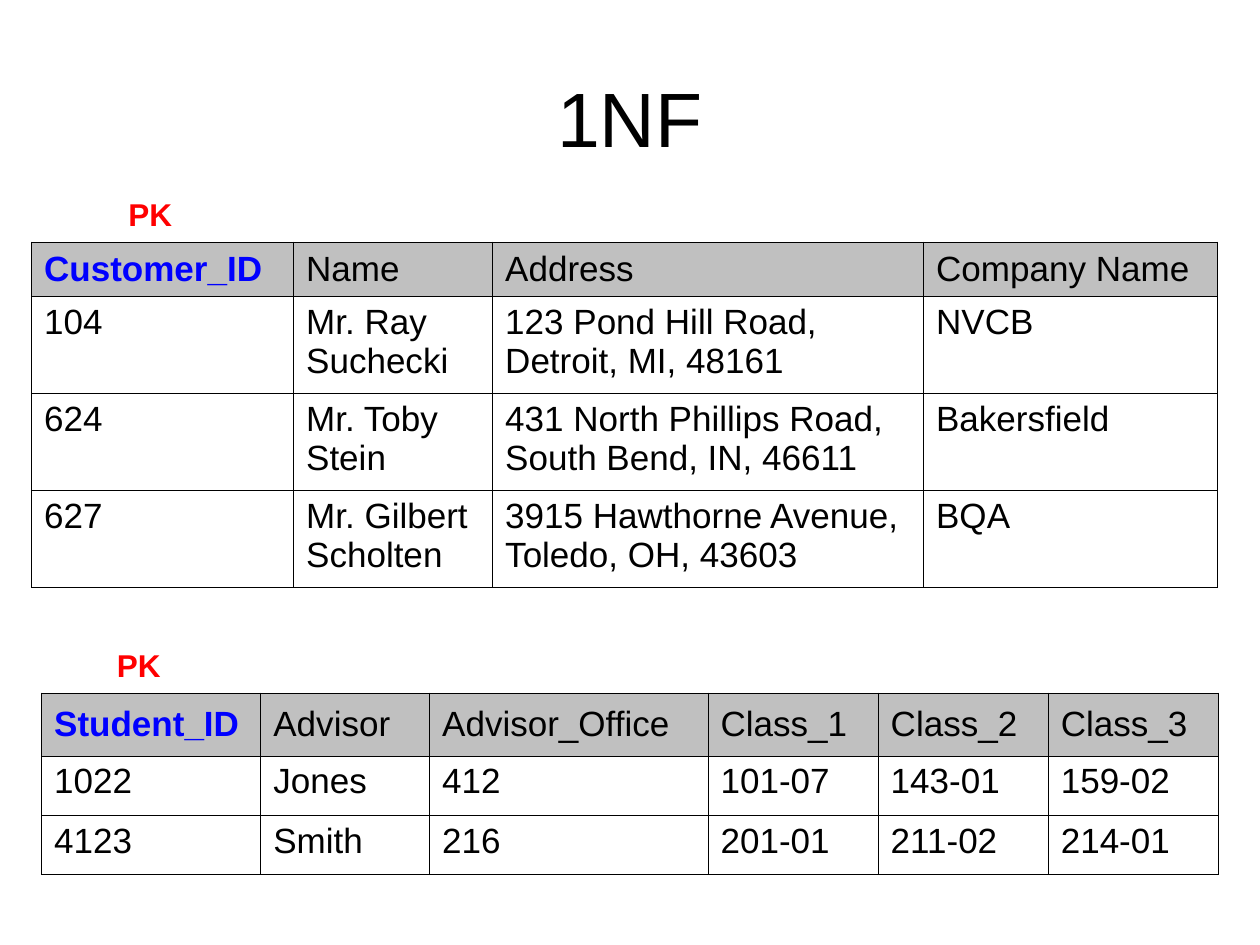
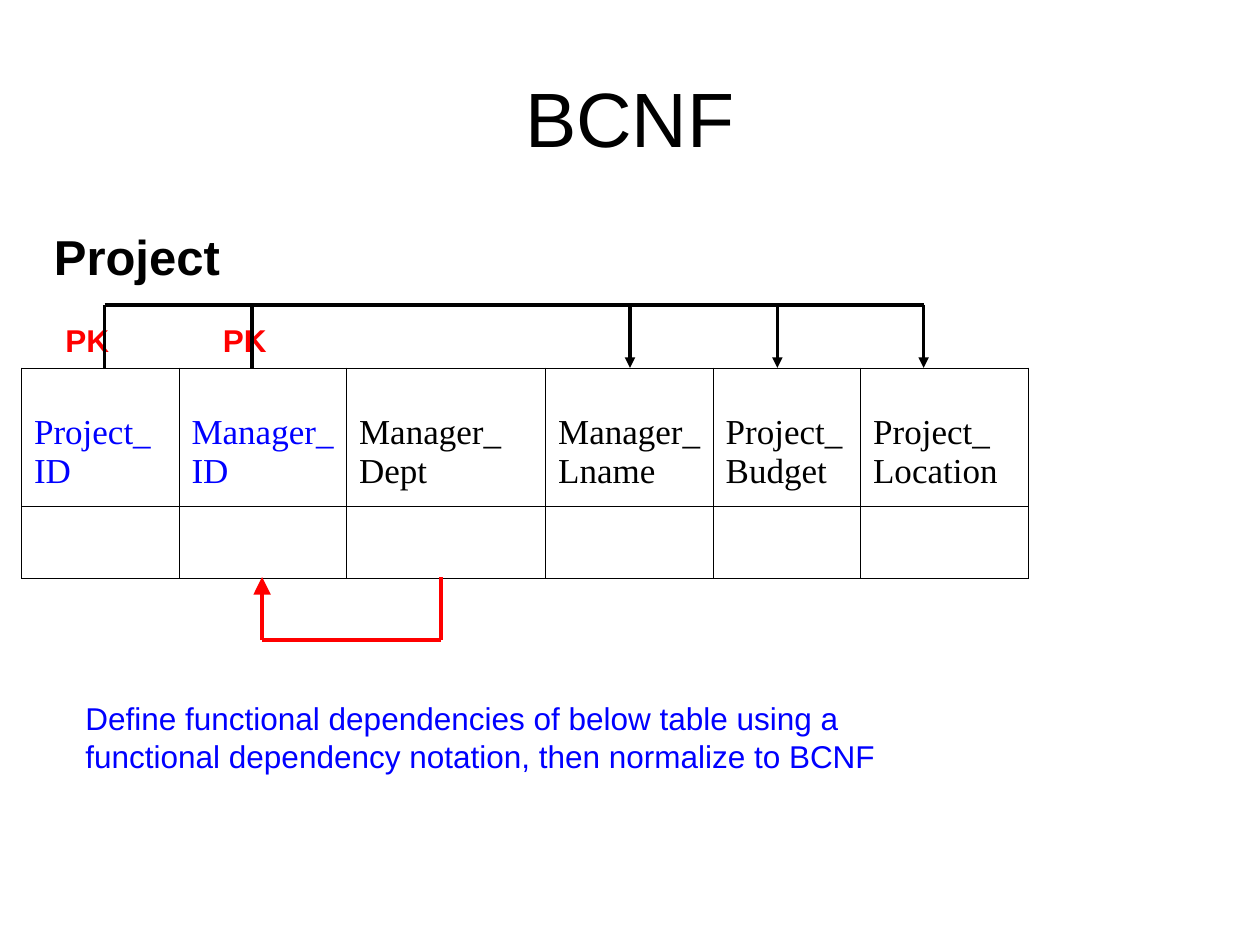
from lxml import etree
from pptx import Presentation
from pptx.dml.color import RGBColor
from pptx.enum.shapes import MSO_CONNECTOR
from pptx.enum.text import MSO_ANCHOR, PP_ALIGN
from pptx.oxml.ns import qn
from pptx.util import Inches, Pt

STRAIGHT = MSO_CONNECTOR.STRAIGHT
MIDDLE, TOP = MSO_ANCHOR.MIDDLE, MSO_ANCHOR.TOP
LEFT, CENTER = PP_ALIGN.LEFT, PP_ALIGN.CENTER

# Content: places are in inches
CLIENTS = {
    "at": (0.25, 1.92), "cols": [2.08, 1.58, 3.42, 2.33],
    "heights": [0.43, 0.77, 0.77, 0.77],
    "rows": [
        ["Customer_ID", "Name", "Address", "Company Name"],
        ["104", "Mr. Ray Suchecki",
         "123 Pond Hill Road,\nDetroit, MI, 48161", "NVCB"],
        ["624", "Mr. Toby Stein",
         "431 North Phillips Road,\nSouth Bend, IN, 46611", "Bakersfield"],
        ["627", "Mr. Gilbert Scholten",
         "3915 Hawthorne Avenue, Toledo, OH, 43603", "BQA"],
    ],
}
STUDENTS = {
    "at": (0.33, 5.5), "cols": [1.74, 1.34, 2.21, 1.35, 1.35, 1.35],
    "heights": [0.5, 0.47, 0.47],
    "rows": [
        ["Student_ID", "Advisor", "Advisor_Office",
         "Class_1", "Class_2", "Class_3"],
        ["1022", "Jones", "412", "101-07", "143-01", "159-02"],
        ["4123", "Smith", "216", "201-01", "211-02", "214-01"],
    ],
}
PROJECT = {
    "at": (0.17, 2.92), "cols": [1.25, 1.33, 1.58, 1.33, 1.17, 1.33],
    "heights": [1.1, 0.57],
    "rows": [
        ["Project_\nID", "Manager_\nID", "Manager_\nDept",
         "Manager_\nLname", "Project_\nBudget", "Project_\nLocation"],
        [""] * 6,
    ],
}
TASK = ("Define functional dependencies of below table using a functional "
        "dependency notation, then normalize to BCNF")

RAIL, HEAD, FOOT, LOOP = 2.42, 2.92, 4.58, 5.08
KEY_X = [0.83, 2]
FIELD_X = [5, 6.17, 7.33]
DEPT_X, MGR_X = 3.5, 2.08

THEME = {
    "black": RGBColor(0, 0, 0), "white": RGBColor(255, 255, 255),
    "blue": RGBColor(0, 0, 255), "red": RGBColor(255, 0, 0),
    "gray": RGBColor(192, 192, 192),
    "sans": "Arial", "serif": "Times New Roman",
    "title": Pt(44), "name": Pt(28), "cell": Pt(20), "note": Pt(18),
    "rule": Pt(0.45), "link": Pt(2),
}


def style(size, color="black", bold=False, face="sans"):
    return {"size": THEME[size], "color": THEME[color],
            "bold": bold, "name": THEME[face]}


TITLE = style("title")
NAME = style("name", bold=True)
MARK = style("note", "red", True)
NOTE = style("note", "blue")
BODY = style("cell")
KEY = style("cell", "blue", True)
FIELD = style("cell", face="serif")
FIELD_KEY = style("cell", "blue", face="serif")


def write(frame, text, form, align=LEFT):
    frame.text = text
    for para in frame.paragraphs:
        para.alignment = align
        for run in para.runs:
            for key, value in form.items():
                if key == "color":
                    run.font.color.rgb = value
                else:
                    setattr(run.font, key, value)


def label(slide, text, box, form, align=LEFT, anchor=TOP):
    frame = slide.shapes.add_textbox(*map(Inches, box)).text_frame
    frame.word_wrap = True
    frame.vertical_anchor = anchor
    write(frame, text, form, align)


def edge(cell):
    """Rule all four sides of a cell."""
    props = cell._tc.get_or_add_tcPr()
    for side in ("lnL", "lnR", "lnT", "lnB"):
        line = etree.SubElement(props, qn("a:" + side), w=str(THEME["rule"]))
        fill = etree.SubElement(line, qn("a:solidFill"))
        etree.SubElement(fill, qn("a:srgbClr"), val=str(THEME["black"]))


def grid(slide, data, paint):
    """Add a table; paint(cell, row, col) fills a cell and returns its font."""
    rows, cols, heights = data["rows"], data["cols"], data["heights"]
    box = (*data["at"], sum(cols), sum(heights))
    table = slide.shapes.add_table(
        len(rows), len(cols), *map(Inches, box)).table
    table.first_row = table.horz_banding = False
    for col, width in zip(table.columns, cols):
        col.width = Inches(width)
    for row, height in zip(table.rows, heights):
        row.height = Inches(height)
    for r, row in enumerate(rows):
        for c, text in enumerate(row):
            cell = table.cell(r, c)
            edge(cell)
            write(cell.text_frame, text, paint(cell, r, c))


def filled(cell, row, col):
    cell.fill.solid()
    cell.fill.fore_color.rgb = THEME["white" if row else "gray"]
    if row:
        return BODY
    cell.vertical_anchor = MIDDLE
    return BODY if col else KEY


def plain(cell, row, col):
    cell.fill.background()
    if row == 0:
        cell.margin_top = Inches(0.36)
    return FIELD_KEY if col < len(KEY_X) else FIELD


def link(slide, points, color, tip=None):
    """Join the points by lines; tip is the size of a last arrowhead."""
    last = len(points) - 2
    for i, (start, end) in enumerate(zip(points, points[1:])):
        line = slide.shapes.add_connector(
            STRAIGHT, *map(Inches, start + end))
        line.line.color.rgb = THEME[color]
        line.line.width = THEME["link"]
        if tip and i == last:
            etree.SubElement(line.line._get_or_add_ln(), qn("a:tailEnd"),
                             type="triangle", w=tip, len=tip)
        etree.SubElement(line._element.spPr, qn("a:effectLst"))


def page(deck, title, marks):
    """Add a slide with its title and key marks."""
    slide = deck.slides.add_slide(deck.slide_layouts[6])
    label(slide, title, (0.5, 0.3, 9, 1.25), TITLE, CENTER, MIDDLE)
    for x, y in marks:
        label(slide, "PK", (x, y, 0.58, 0.4), MARK)
    return slide


def main():
    deck = Presentation()
    deck.slide_width, deck.slide_height = Inches(10), Inches(7.5)

    first = page(deck, "1NF", [(0.92, 1.5), (0.83, 5.08)])
    for data in (CLIENTS, STUDENTS):
        grid(first, data, filled)

    second = page(deck, "BCNF", [(0.42, 2.5), (1.67, 2.5)])
    grid(second, PROJECT, plain)
    label(second, "Project", (0.33, 1.75, 3.17, 0.57), NAME)
    label(second, TASK, (0.58, 5.5, 7.08, 0.7), NOTE)
    link(second, [(KEY_X[0], RAIL), (FIELD_X[-1], RAIL)], "black")
    for x in KEY_X:
        link(second, [(x, HEAD), (x, RAIL)], "black")
    for x in FIELD_X:
        link(second, [(x, RAIL), (x, HEAD)], "black", "med")
    link(second, [(DEPT_X, FOOT), (DEPT_X, LOOP),
                  (MGR_X, LOOP), (MGR_X, FOOT)], "red", "lg")
    deck.save("out.pptx")


if __name__ == "__main__":
    main()
